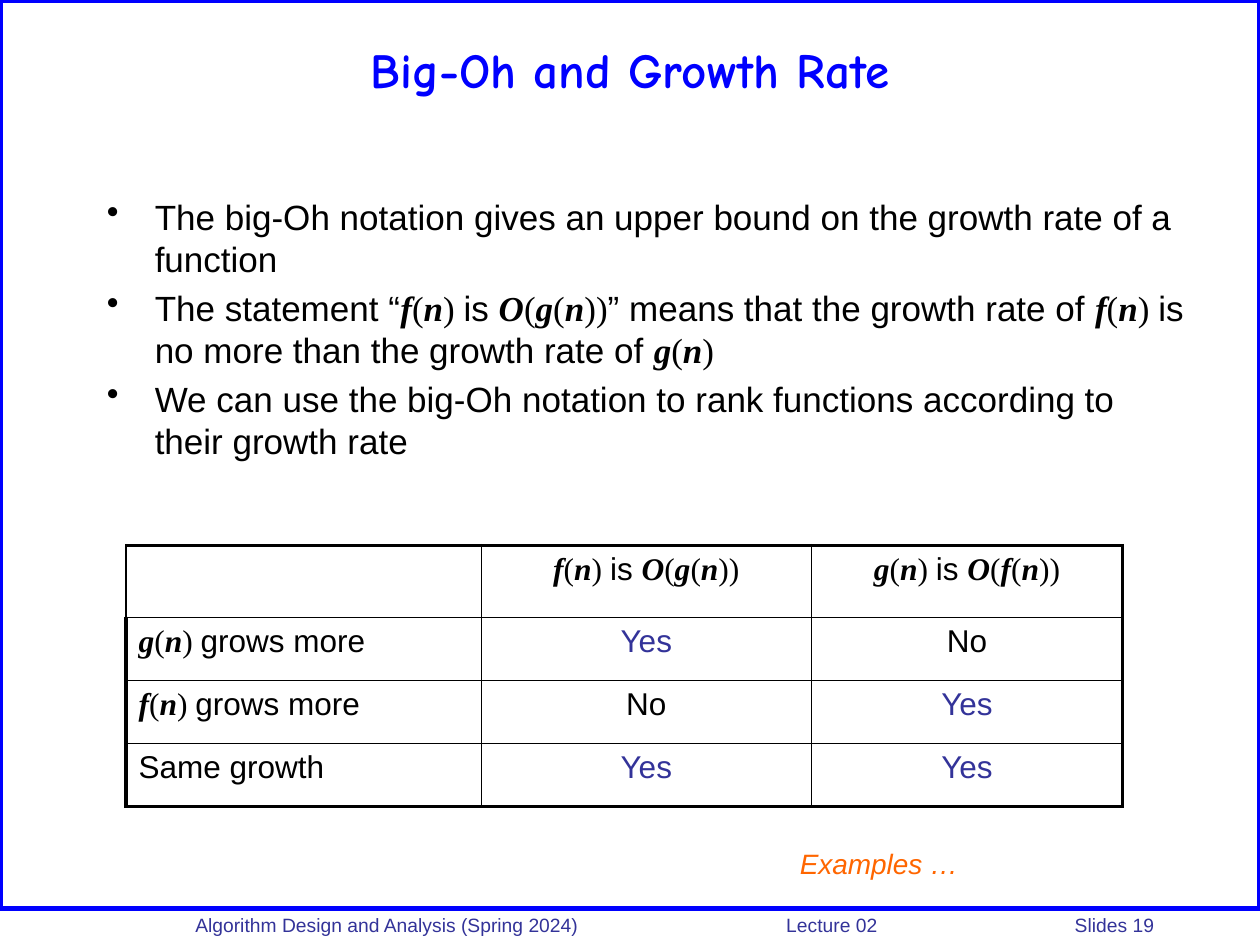
from pptx import Presentation, util as u
from pptx.dml.color import RGBColor
from pptx.enum import shapes, text
from pptx.oxml import parse_xml
from pptx.oxml.ns import nsdecls

HUES = {"ink": "000000", "blue": "0000FF", "navy": "333399", "note": "FF6600"}
SANS, MATH, HEAD = "Arial", "Times New Roman", "Comic Neue"
MID = text.PP_ALIGN.CENTER
THICK, THIN = 2.25, 1


def rgb(hue):
    return RGBColor.from_string(HUES[hue])


class Deck:
    def __init__(self):
        self.prs = Presentation()
        self.prs.slide_width, self.prs.slide_height = u.Inches(10), u.Inches(7.5)
        self.slide = self.prs.slides.add_slide(self.prs.slide_layouts[6])

    def frame(self, *box):
        rect = self.slide.shapes.add_shape(
            shapes.MSO_SHAPE.RECTANGLE, *map(u.Inches, box))
        rect.shadow.inherit = False
        rect.fill.background()
        rect.line.color.rgb = rgb("blue")
        rect.line.width = u.Pt(3)

    def box(self, *box):
        body = self.slide.shapes.add_textbox(*map(u.Inches, box)).text_frame
        body.word_wrap = True
        return body

    def label(self, para, words, size, hue="ink", name=SANS, align=None):
        """Fill a paragraph; parts between $ signs are set as formulas."""
        font = para.font
        font.size, font.color.rgb, font.name = u.Pt(size), rgb(hue), name
        if align is not None:
            para.alignment = align
        for i, part in enumerate(words.split("$")):
            if i % 2:
                self.maths(para, part)
            elif part:
                para.add_run().text = part
        return font

    def maths(self, para, part):
        """Letters are bold italic, brackets are upright."""
        spaced = "".join(f"|{c}|" if c.isalpha() else c for c in part)
        for bit in filter(None, spaced.split("|")):
            run = para.add_run()
            run.text = bit
            run.font.name = MATH
            run.font.bold = run.font.italic = bit.isalpha()

    def list(self, body, items, size):
        for i, item in enumerate(items):
            para = body.paragraphs[0] if i == 0 else body.add_paragraph()
            props = para._p.get_or_add_pPr()
            props.set("marL", str(u.Inches(0.38)))
            props.set("indent", str(u.Inches(-0.38)))
            props.append(parse_xml(f'<a:buChar {nsdecls("a")} char="•"/>'))
            if i:
                para.space_before = u.Pt(size * 0.2)
            self.label(para, item, size)

    def tabs(self, para, stops):
        marks = "".join(f'<a:tab pos="{u.Inches(s)}" algn="l"/>' for s in stops)
        para._p.get_or_add_pPr().append(
            parse_xml(f'<a:tabLst {nsdecls("a")}>{marks}</a:tabLst>'))

    def edges(self, cell, widths):
        props = cell._tc.get_or_add_tcPr()
        for side, width in zip("LRTB", widths):
            props.append(parse_xml(
                f'<a:ln{side} {nsdecls("a")} w="{u.Pt(width)}"><a:solidFill>'
                f'<a:srgbClr val="{HUES["ink"]}"/></a:solidFill></a:ln{side}>'))

    def table(self, rows, left, top, wide, high):
        grid = self.slide.shapes.add_table(
            len(rows), len(wide), u.Inches(left), u.Inches(top),
            u.Inches(sum(wide)), u.Inches(sum(high))).table
        for col, size in zip(grid.columns, wide):
            col.width = u.Inches(size)
        for row, size in zip(grid.rows, high):
            row.height = u.Inches(size)
        end, last = len(rows) - 1, len(wide) - 1
        for r, row in enumerate(rows):
            for c, words in enumerate(row):
                cell = grid.cell(r, c)
                outer = (c == 0 and r > 0, c == last, r == 0, r == end)
                self.edges(cell, [THICK if out else THIN for out in outer])
                cell.fill.background()
                self.label(cell.text_frame.paragraphs[0], words, 18,
                           "navy" if words == "Yes" else "ink",
                           align=MID if c else None)


def main():
    deck = Deck()
    deck.frame(0, 0, 10, 7.21)

    foot = deck.box(1.33, 7.2, 8.67, 0.26)
    foot.margin_left = u.Inches(0.22)
    para = foot.paragraphs[0]
    deck.tabs(para, (4.69, 6.98))
    deck.label(para, "Algorithm Design and Analysis (Spring 2024)\tLecture 02\tSlides 19",
               11, "navy")

    title = deck.box(0.5, 0.17, 9, 0.75)
    title.vertical_anchor = text.MSO_ANCHOR.MIDDLE
    deck.label(title.paragraphs[0], "Big-Oh and Growth Rate",
               28, "blue", HEAD, MID).bold = True

    deck.list(deck.box(0.75, 1.5, 8.75, 2.42), [
        "The big-Oh notation gives an upper bound on the growth rate of a function",
        "The statement “$f(n) $is $O(g(n))$” means that the growth rate of "
        "$f(n) $is no more than the growth rate of $g(n)$",
        "We can use the big-Oh notation to rank functions according to their growth rate",
    ], 20)

    deck.table([
        ("", "$f(n) $is $O(g(n))$", "$g(n) $is $O(f(n))$"),
        ("$g(n) $grows more", "Yes", "No"),
        ("$f(n) $grows more", "No", "Yes"),
        ("Same growth", "Yes", "Yes"),
    ], 1, 4.33, (2.82, 2.62, 2.47), (0.57, 0.5, 0.5, 0.5))

    note = deck.box(6.25, 6.67, 2.33, 0.37)
    deck.label(note.paragraphs[0], "Examples …", 16, "note").italic = True
    deck.prs.save("out.pptx")


if __name__ == "__main__":
    main()
